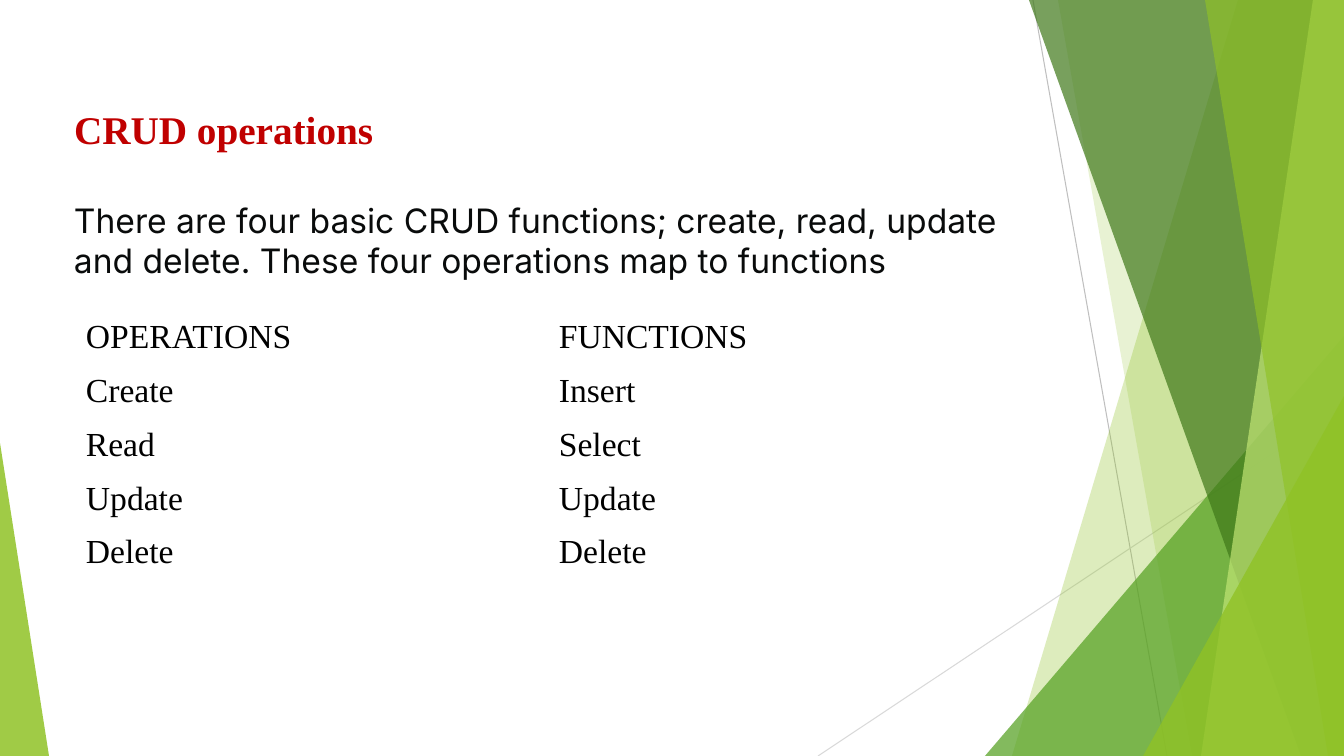
import pptx
import pptx.util
import pptx.dml.color
import pptx.enum.shapes
import pptx.enum.text
import pptx.oxml.ns
import lxml.etree

SCALE = 914400 / 100.8
SERIF = "Times New Roman"
TRIANGLE = pptx.enum.shapes.MSO_SHAPE.ISOSCELES_TRIANGLE
ROWS = [
    ("OPERATIONS", "FUNCTIONS"),
    ("Create", "Insert"),
    ("Read", "Select"),
    ("Update", "Update"),
    ("Delete", "Delete"),
]


def px(*values):
    return [pptx.util.Emu(round(v * SCALE)) for v in values]


def rgb(color):
    return pptx.dml.color.RGBColor.from_string(color)


def set_font(p, name, size, color, bold=False):
    p.font.name, p.font.size, p.font.bold = name, pptx.util.Pt(size), bold
    p.font.color.rgb = rgb(color)


def paint(sp, color, opacity):
    sp.shadow.inherit = False
    sp.line.fill.background()
    sp.fill.solid()
    sp.fill.fore_color.rgb = rgb(color)
    clr = sp.fill._xPr.find(".//" + pptx.oxml.ns.qn("a:srgbClr"))
    alpha = lxml.etree.SubElement(clr, pptx.oxml.ns.qn("a:alpha"))
    alpha.set("val", str(opacity * 1000))


def add_line(s, start, end, color):
    line = s.shapes.add_connector(
        pptx.enum.shapes.MSO_CONNECTOR.STRAIGHT, *px(*start, *end))
    line.line.color.rgb = rgb(color)
    line.line.width = pptx.util.Pt(0.75)
    lxml.etree.SubElement(line._element.spPr, pptx.oxml.ns.qn("a:effectLst"))


def add_band(s, box, top, bottom, color, opacity):
    x, y, w, h = box
    fb = s.shapes.build_freeform(x + top, y, scale=SCALE)
    fb.add_line_segments([(x + w, y), (x + w, y + h), (x + bottom, y + h)], close=True)
    paint(fb.convert_to_shape(), color, opacity)


def add_triangle(s, box, apex, color, opacity):
    sp = s.shapes.add_shape(TRIANGLE, *px(*box))
    sp.adjustments[0] = apex
    paint(sp, color, opacity)


def add_facets(s, box):
    x, y, w, h = box
    right, bottom = x + w, y + h
    add_line(s, (x + 48, y), (x + 182, bottom), "BFBFBF")
    add_line(s, (right, y + 406), (x - 167, bottom), "D9D9D9")
    add_band(s, box, 253, 27, "90C226", 30)
    add_band(s, box, 73, 207, "90C226", 20)
    add_triangle(s, (right - 359, bottom - 420, 359, 420), 1, "54A021", 72)
    add_band(s, box, 44, 316, "3F7819", 70)
    add_band(s, box, 328, 216, "C0E474", 70)
    add_band(s, box, 220, 343, "90C226", 65)
    add_triangle(s, (right - 201, bottom - 360, 201, 360), 1, "90C226", 80)


def add_heading(s, box):
    x, y, w, h = box
    title = s.shapes.title
    title.left, title.top, title.width, title.height = px(x, y, w, 60)
    intro = s.shapes.add_textbox(*px(x, y + 95, w, h - 95))
    texts = [
        (title, "CRUD operations", (SERIF, 28, "C00000", True)),
        (intro, "There are four basic CRUD functions; create, read, update and "
                "delete. These four operations map to functions", ("Inter", 24, "090B0B")),
    ]
    for sp, text, font in texts:
        tf = sp.text_frame
        tf.word_wrap = True
        tf.auto_size = pptx.enum.text.MSO_AUTO_SIZE.NONE
        tf.vertical_anchor = pptx.enum.text.MSO_ANCHOR.TOP
        tf.text = text
        p = tf.paragraphs[0]
        p.alignment = pptx.enum.text.PP_ALIGN.LEFT
        set_font(p, *font)


def add_operations_table(s, box):
    table = s.shapes.add_table(len(ROWS), len(ROWS[0]), *px(*box)).table
    table.first_row = table.horz_banding = False
    for i, row in enumerate(ROWS):
        for j, text in enumerate(row):
            cell = table.cell(i, j)
            cell.fill.background()
            cell.vertical_anchor = pptx.enum.text.MSO_ANCHOR.MIDDLE
            (cell.margin_left, cell.margin_top,
             cell.margin_right, cell.margin_bottom) = px(10, 5, 10, 8)
            cell.text = text
            set_font(cell.text_frame.paragraphs[0], SERIF, 24, "000000")


def add_crud_slide(prs):
    s = prs.slides.add_slide(prs.slide_layouts[5])
    add_facets(s, (985, 0, 359, 756))
    add_triangle(s, (0, 443, 49, 313), 0, "90C226", 85)
    add_heading(s, (64, 100, 974, 190))
    add_operations_table(s, (76, 312, 946, 269))


prs = pptx.Presentation()
prs.slide_width, prs.slide_height = px(1344, 756)
add_crud_slide(prs)
prs.save("out.pptx")
